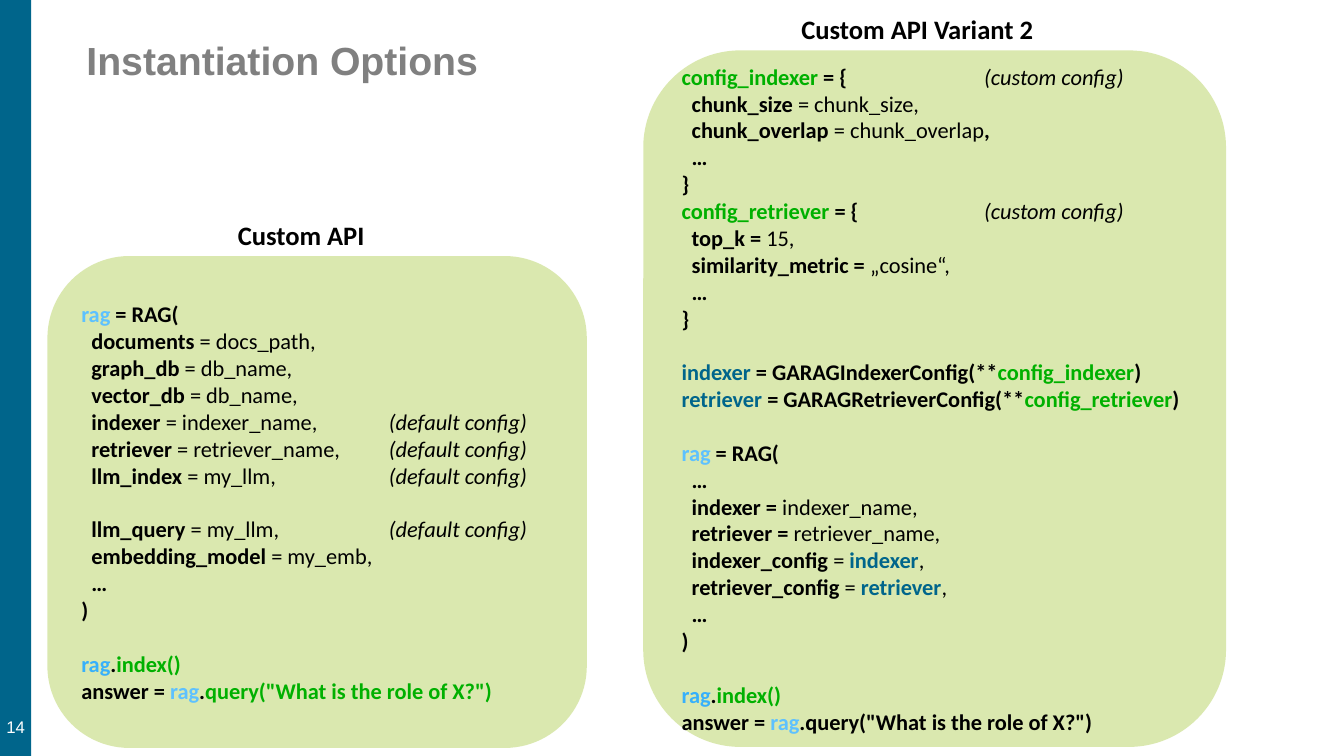
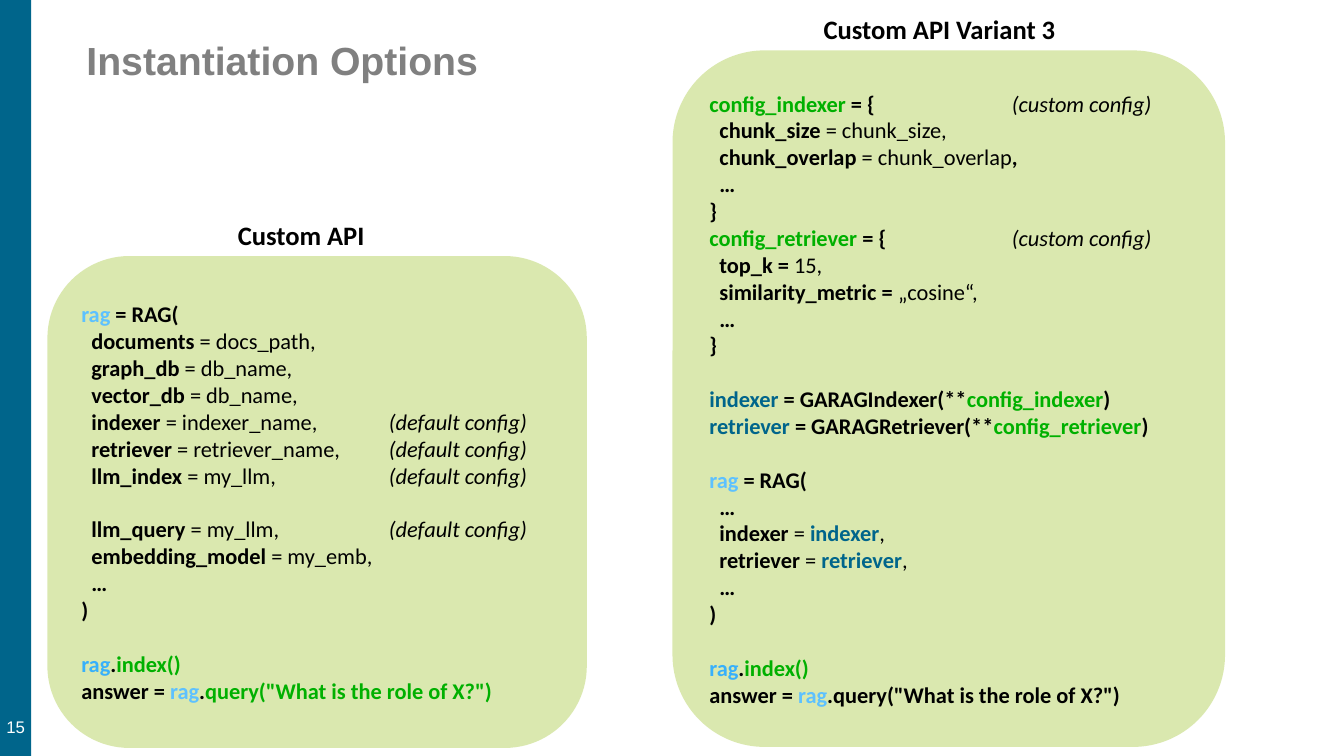
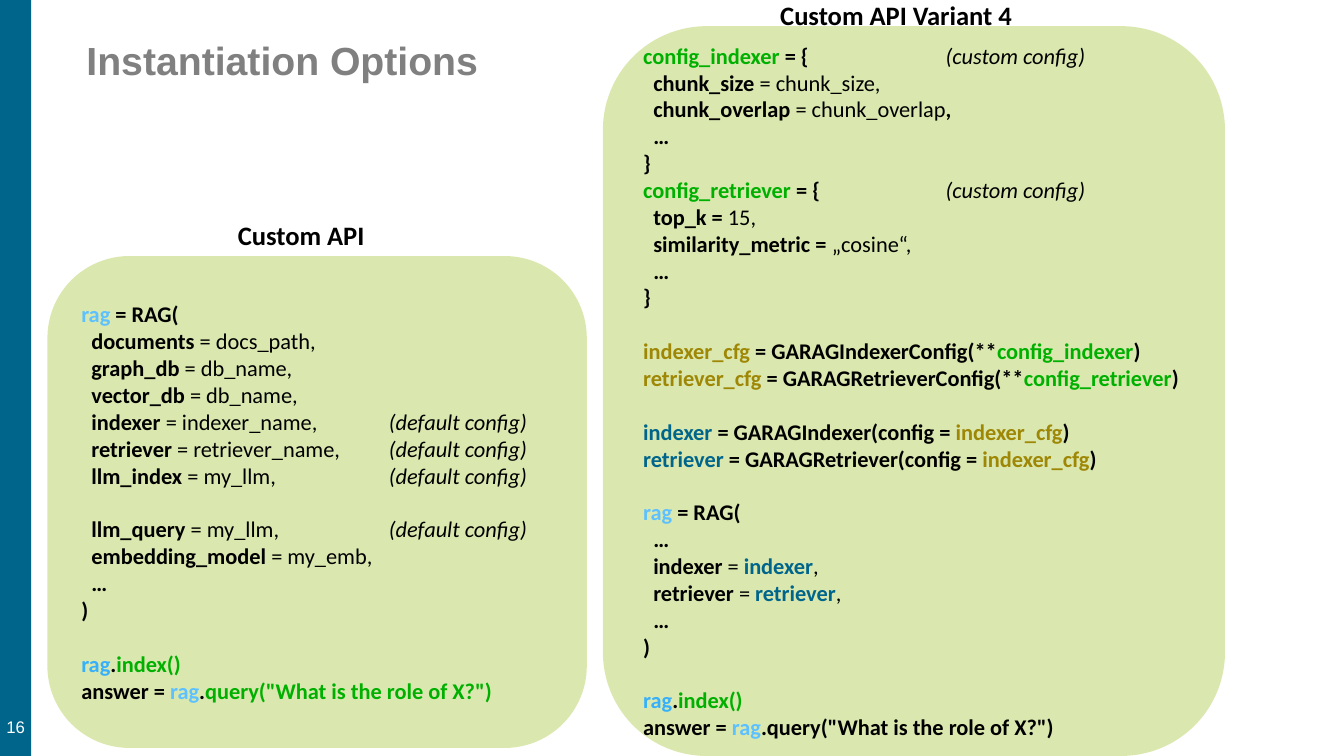
from lxml.etree import SubElement
from pptx import Presentation
from pptx.dml.color import RGBColor
from pptx.enum.shapes import MSO_SHAPE
from pptx.enum.text import MSO_ANCHOR, PP_ALIGN
from pptx.oxml.ns import qn
from pptx.util import Inches, Pt

HUES = {
    "band": "00658B", "title": "808080", "white": "FFFFFF", "panel": "B7D260",
    "black": "000000", "sky": "5DC1FF", "blue": "37B0FB", "green": "00B000",
    "teal": "00658B", "gold": "9F8706",
}
CODE = 16
GAP = 19.2
STOPS = (0.1, 3)


def color(name):
    return RGBColor.from_string(HUES[name])


def add_run(para, text, size, hue="black", bold=True, slant=False, face="Calibri"):
    run = para.add_run()
    run.text = text
    font = run.font
    font.name, font.size, font.bold, font.italic = face, Pt(size), bold, slant
    font.color.rgb = color(hue)


def add_box(slide, at, text, size, **look):
    box = slide.shapes.add_textbox(*map(Inches, at))
    box.text_frame.word_wrap = True
    add_run(box.text_frame.paragraphs[0], text, size, **look)
    return box.text_frame


def add_form(slide, kind, at, hue):
    form = slide.shapes.add_shape(kind, *map(Inches, at))
    form.shadow.inherit = False
    form.fill.solid()
    form.fill.fore_color.rgb = color(hue)
    form.line.fill.background()
    return form


def add_base(slide, number):
    """Draw the side band, title and slide number."""
    add_form(slide, MSO_SHAPE.RECTANGLE, (0, 0, 0.31, 7.5), "band")
    title = add_box(slide, (0.76, 0.36, 11, 1.08), "Instantiation Options", 28,
                    hue="title", face="Arial")
    title.paragraphs[0].line_spacing = 0.9
    foot = add_box(slide, (0, 5.84, 0.31, 1.57), str(number), 12,
                   hue="white", bold=False, face="Arial")
    foot.word_wrap = False
    foot.vertical_anchor = MSO_ANCHOR.BOTTOM
    foot.margin_left = foot.margin_right = Inches(0.04)
    foot.margin_top = foot.margin_bottom = Inches(0.1)
    foot.paragraphs[0].alignment = PP_ALIGN.CENTER


def set_tabs(para):
    tabs = SubElement(para._p.get_or_add_pPr(), qn("a:tabLst"))
    for stop in STOPS:
        SubElement(tabs, qn("a:tab"), pos=str(Inches(stop)), algn="l")


def add_code(slide, at, blocks):
    """Draw a panel of code, with a gap between the blocks."""
    panel = add_form(slide, MSO_SHAPE.ROUNDED_RECTANGLE, at, "panel")
    tint = panel.fill._xPr.find(".//" + qn("a:srgbClr"))
    SubElement(tint, qn("a:alpha"), val="50000")
    frame = panel.text_frame
    frame.word_wrap = True
    frame.vertical_anchor = MSO_ANCHOR.MIDDLE
    para = None
    for block in blocks:
        for row, line in enumerate(block):
            first = para is None
            para = frame.paragraphs[0] if first else frame.add_paragraph()
            para.alignment = PP_ALIGN.LEFT
            if row == 0 and not first:
                para.space_before = Pt(GAP)
            set_tabs(para)
            for text, style in line:
                plain = style in ("plain", "slant")
                hue = style if style in HUES else "black"
                add_run(para, text, CODE, hue, not plain, style == "slant")


def bold(text):
    return [(text, "black")]


def arg(name, value, note=""):
    """Give an indented line that sets a plain value."""
    line = [(f"\t{name} ", "black"), (f"= {value},", "plain")]
    return line + ([(f"\t {note}", "slant")] if note else [])


def ref(name, value):
    """Give an indented line that passes on an object made above."""
    return [(f"\t{name} ", "black"), ("= ", "plain"), (value, "teal"), (",", "plain")]


def make(name, hue, call, value, tone):
    """Give a line that builds an object from a config."""
    return [(name, hue), (f" = {call}", "black"), (value, tone), (")", "black")]


def pair(hue, end, call, tone, values):
    return [make(name + end, hue, f"GARAG{name.title()}{call}", value, tone)
            for name, value in zip(("indexer", "retriever"), values)]


def head(name):
    return [(name, "green"), (" = {", "black"), ("\t", "plain"), ("(custom config)", "slant")]


def ask(hue):
    """Give the block that indexes and queries."""
    return [
        [("rag", "blue"), (".", "black"), ("index()", "green")],
        [("answer = ", "black"), ("rag", "sky"), (".", "black"),
         ('query("What is the role of X?")', hue)],
    ]


MORE = bold("\t…")
OPEN = [("rag", "sky"), (" = RAG(", "black")]
NOTE = "(default config)"
BASIC = [
    [
        OPEN,
        arg("documents", "docs_path"),
        arg("graph_db", "db_name"),
        arg("vector_db", "db_name"),
        arg("indexer", "indexer_name", NOTE),
        arg("retriever", "retriever_name", NOTE),
        arg("llm_index", "my_llm", NOTE),
    ],
    [
        arg("llm_query", "my_llm", NOTE),
        arg("embedding_model", "my_emb"),
        MORE,
        bold(")"),
    ],
    ask("green"),
]
SETUP = [
    head("config_indexer"),
    arg("chunk_size", "chunk_size")
    ,
    [("\tchunk_overlap ", "black"), ("= chunk_overlap", "plain"), (",", "black")],
    MORE,
    bold("}"),
    head("config_retriever"),
    [("\ttop_k = ", "black"), ("15,", "plain")],
    [("\tsimilarity_metric = ", "black"), ("„cosine“,", "plain")],
    MORE,
    bold("}"),
]
CONFIGS = ("config_indexer", "config_retriever")
NAMED = [
    [("\tindexer = ", "black"), ("indexer_name,", "plain")],
    [("\tretriever = ", "black"), ("retriever_name,", "plain")],
    ref("indexer_config", "indexer"),
    ref("retriever_config", "retriever"),
]
BUILT = [ref("indexer", "indexer"), ref("retriever", "retriever")]


def variant(pairs, args):
    return [SETUP, *pairs, [OPEN, MORE, *args, MORE, bold(")")], ask("black")]


SLIDES = [
    (14, 2, (7.85, 0.08), (6.38, 0.5, 5.78, 6.91),
     variant([pair("teal", "", "Config(**", "green", CONFIGS)], NAMED)),
    (15, 3, (8.07, 0.08), (6.67, 0.5, 5.48, 6.91),
     variant([pair("teal", "", "(**", "green", CONFIGS)], BUILT)),
    (16, 4, (7.64, -0.06), (5.98, 0.26, 6.17, 7.24),
     variant([pair("gold", "_cfg", "Config(**", "green", CONFIGS),
              pair("teal", "", "(config = ", "gold", ("indexer_cfg",) * 2)], BUILT)),
]


def main():
    deck = Presentation()
    deck.slide_width, deck.slide_height = Inches(13.33), Inches(7.5)
    for number, kind, spot, at, blocks in SLIDES:
        slide = deck.slides.add_slide(deck.slide_layouts[6])
        add_base(slide, number)
        add_code(slide, (0.47, 2.54, 5.35, 4.88), BASIC)
        add_box(slide, (2.26, 2.12, 2.49, 0.42), "Custom API", 19)
        add_box(slide, (*spot, 2.85, 0.42), f"Custom API Variant {kind}", 19)
        add_code(slide, at, blocks)
    deck.save("out.pptx")


if __name__ == "__main__":
    main()
